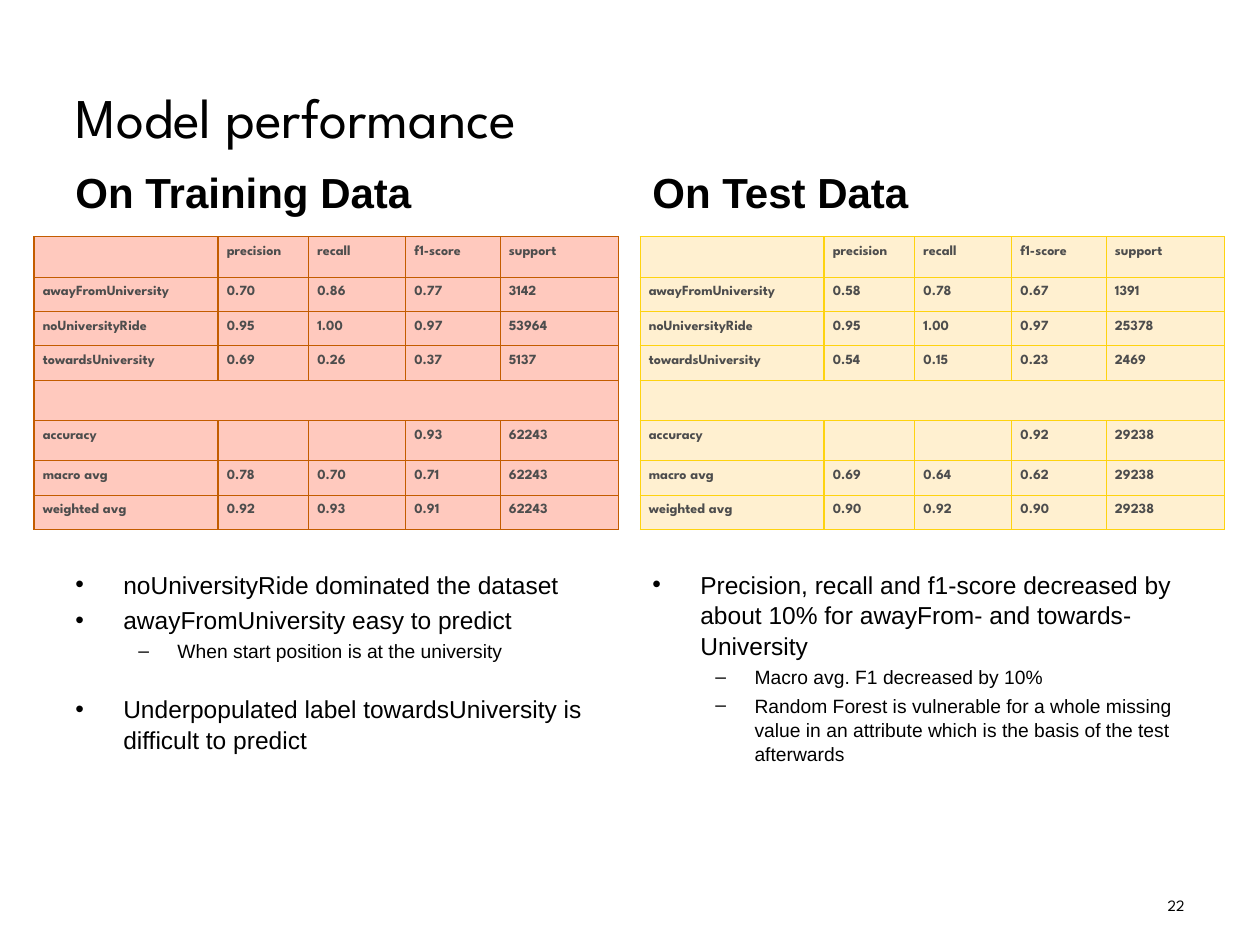
"""Build the model performance slide with training and test results side by side."""
from lxml.etree import SubElement
from pptx import Presentation
from pptx.dml.color import RGBColor
from pptx.enum.text import MSO_ANCHOR as Anchor, PP_ALIGN as Align
from pptx.oxml.ns import qn
from pptx.util import Inches, Pt

TITLE = "Model performance"
PAGE_NUMBER = "22"
HEADER = ["", "precision", "recall", "f1-score", "support"]
LABELS = ["awayFromUniversity", "noUniversityRide", "towardsUniversity", "",
          "accuracy", "macro avg", "weighted avg"]
SPAN_ROW = 4
COLUMN_WIDTHS = [1.46, 0.72, 0.77, 0.75, 0.94]
ROW_HEIGHTS = [0.32, 0.24, 0.24, 0.24, 0.32, 0.32, 0.24]

PANELS = [
    {
        "heading": "On Training Data",
        "left": 0.5,
        "table_left": 0.27,
        "last_row": 0.24,
        "fill": "FFC9BE",
        "border": "C35C00",
        "scores": [
            ["0.70", "0.86", "0.77", "3142"],
            ["0.95", "1.00", "0.97", "53964"],
            ["0.69", "0.26", "0.37", "5137"],
            ["", "", "", ""],
            ["", "", "0.93", "62243"],
            ["0.78", "0.70", "0.71", "62243"],
            ["0.92", "0.93", "0.91", "62243"],
        ],
        "findings": [
            (0, "noUniversityRide dominated the dataset", 2.8),
            (0, "awayFromUniversity easy to predict", 2.8),
            (1, "When start position is at the university", 2.2),
            (0, "Underpopulated label towardsUniversity is difficult to predict", 17),
        ],
    },
    {
        "heading": "On Test Data",
        "left": 5.08,
        "table_left": 5.08,
        "last_row": 0.26,
        "fill": "FFF0D0",
        "border": "FED310",
        "scores": [
            ["0.58", "0.78", "0.67", "1391"],
            ["0.95", "1.00", "0.97", "25378"],
            ["0.54", "0.15", "0.23", "2469"],
            ["", "", "", ""],
            ["", "", "0.92", "29238"],
            ["0.69", "0.64", "0.62", "29238"],
            ["0.90", "0.92", "0.90", "29238"],
        ],
        "findings": [
            (0, "Precision, recall and f1-score decreased by about 10% "
                "for awayFrom- and towards-University", 2.8),
            (1, "Macro avg. F1 decreased by 10%", 2.2),
            (1, "Random Forest is vulnerable for a whole missing value in an "
                "attribute which is the basis of the test afterwards", 2.2),
        ],
    },
]
BULLET_LEVELS = [("•", 14, 0.38, 0.38), ("–", 11, 0.81, 0.31)]


def color(value):
    return RGBColor.from_string(value)


def style(paragraph, size, font="Arial", fill="000000", bold=False):
    for run in paragraph.runs:
        run.font.size = Pt(size)
        run.font.name = font
        run.font.bold = bold
        run.font.color.rgb = color(fill)


def add_frame(slide, left, top, width, height, anchor=Anchor.TOP):
    box = slide.shapes.add_textbox(*map(Inches, (left, top, width, height)))
    box.text_frame.word_wrap = True
    box.text_frame.vertical_anchor = anchor
    return box.text_frame


def add_line(slide, text, place, size, font, anchor=Anchor.TOP, bold=False, align=Align.LEFT):
    frame = add_frame(slide, *place, anchor)
    frame.text = text
    frame.paragraphs[0].alignment = align
    style(frame.paragraphs[0], size, font, bold=bold)


def add_findings(slide, findings, left):
    frame = add_frame(slide, left, 4.46, 4.42, 2.24)
    for index, (level, text, gap) in enumerate(findings):
        paragraph = frame.add_paragraph() if index else frame.paragraphs[0]
        mark, size, margin, hanging = BULLET_LEVELS[level]
        paragraph.text = text
        paragraph.level = level
        paragraph.space_before = Pt(gap)
        paragraph.line_spacing = 1.05
        style(paragraph, size)
        properties = paragraph._p.get_or_add_pPr()
        properties.set("marL", str(Inches(margin)))
        properties.set("indent", str(-Inches(hanging)))
        SubElement(properties, qn("a:buFont")).set("typeface", "Arial")
        SubElement(properties, qn("a:buChar")).set("char", mark)


def format_cell(cell, text, fill, border):
    cell.margin_left = cell.margin_right = Inches(0.07)
    cell.margin_top = cell.margin_bottom = Inches(0.07)
    paragraph = cell.text_frame.paragraphs[0]
    if text:
        paragraph.text = text
        style(paragraph, 8, "League Spartan", "4D4D4D", bold=True)
    else:
        paragraph._p.get_or_add_endParaRPr().set("sz", "800")
    properties = cell._tc.get_or_add_tcPr()
    for side in ("a:lnL", "a:lnR", "a:lnT", "a:lnB"):
        line = SubElement(properties, qn(side), w=str(Pt(0.75)))
        SubElement(SubElement(line, qn("a:solidFill")), qn("a:srgbClr")).set("val", border)
    cell.fill.solid()
    cell.fill.fore_color.rgb = color(fill)


def add_scores(slide, panel):
    rows = [HEADER] + [[label, *values] for label, values in zip(LABELS, panel["scores"])]
    heights = ROW_HEIGHTS + [panel["last_row"]]
    place = (panel["table_left"], 1.88, sum(COLUMN_WIDTHS), sum(heights))
    table = slide.shapes.add_table(len(rows), len(HEADER), *map(Inches, place)).table
    table.first_row = table.horz_banding = False
    for column, width in zip(table.columns, COLUMN_WIDTHS):
        column.width = Inches(width)
    for r, (height, values) in enumerate(zip(heights, rows)):
        table.rows[r].height = Inches(height)
        for c, text in enumerate(values):
            format_cell(table.cell(r, c), text, panel["fill"], panel["border"])
    table.cell(SPAN_ROW, 0).merge(table.cell(SPAN_ROW, len(HEADER) - 1))


def main():
    presentation = Presentation()
    presentation.slide_width, presentation.slide_height = Inches(10), Inches(7.5)
    slide = presentation.slides.add_slide(presentation.slide_layouts[6])
    add_line(slide, TITLE, (0.5, 0.3, 9, 1.25), 32, "League Spartan", Anchor.MIDDLE)
    for panel in PANELS:
        add_line(slide, panel["heading"], (panel["left"], 1.07, 4.42, 0.7), 24, "Arial",
                 Anchor.BOTTOM, bold=True)
        add_findings(slide, panel["findings"], panel["left"])
        add_scores(slide, panel)
    add_line(slide, PAGE_NUMBER, (7.17, 7.06, 2.33, 0.29), 9, "League Spartan", align=Align.RIGHT)
    presentation.save("out.pptx")


if __name__ == "__main__":
    main()
